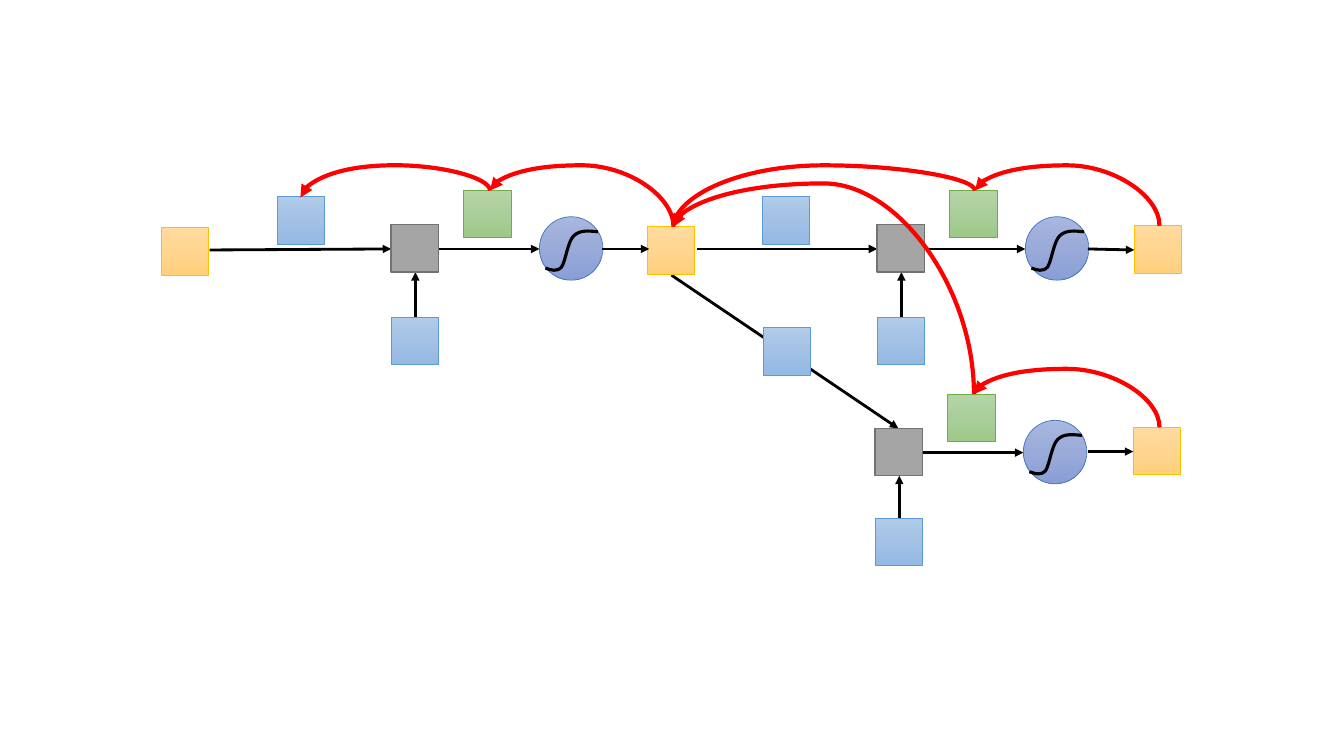
from copy import deepcopy
from dataclasses import dataclass

from lxml.etree import SubElement as Sub
from pptx import Presentation
from pptx.dml.color import RGBColor as RGB
from pptx.enum.shapes import MSO_CONNECTOR as Conn, MSO_SHAPE as Kind
from pptx.oxml.ns import qn
from pptx.util import Inches, Pt

CELL = Inches(0.1)
SIDE = 4.7
ROUND = 6.3
COLORS = {
    "gold": ("FFDB9E", "FFD590", "FFD07C", "FFC000"),
    "blue": ("B1CBE9", "A3C1E5", "93B9E4", "5B9BD5"),
    "green": ("B5D5A7", "AACE9A", "9CC987", "70AD47"),
    "navy": ("A8B7DF", "9AABD9", "889ED7", "4472C4"),
    "gray": ("A5A5A5", "767171"),
    "black": ("000000",),
    "red": ("FF0000",),
}
WAVE = [(5.8, 1.5), (4.9, 1.4), (4, 1.3), (3.4, 1.9), (2.8, 2.5),
        (2.6, 4.4), (2.2, 5), (1.7, 5.5), (1.2, 5.3), (0.6, 5.1)]


@dataclass
class Node:
    col: float
    row: float
    color: str
    size: float = SIDE
    kind: Kind = Kind.RECTANGLE


@dataclass
class Link:
    col: float
    row: float
    to_col: float
    to_row: float


@dataclass
class Arc(Link):
    peak: float


@dataclass
class Unit:
    col: float
    row: float
    drop: float


LINKS = [Link(20.8, 24.8, 38.8, 24.7), Link(69.1, 24.7, 87, 24.7),
         Link(66.6, 27.3, 89.1, 42.5), Link(59.7, 24.7, 64.4, 24.7),
         Link(107.9, 24.7, 112.5, 24.8), Link(107.9, 44.8, 112.4, 44.8)]
UNITS = [Unit(38.8, 22.3, 9.2), Unit(87, 22.3, 9.2), Unit(86.8, 42.5, 8.9)]
NODES = [Node(16, 22.6, "gold"), Node(64.2, 22.5, "gold"),
         Node(112.5, 22.4, "gold"), Node(112.4, 42.4, "gold"),
         Node(27.5, 19.5, "blue"), Node(75.6, 19.5, "blue"),
         Node(75.7, 32.5, "blue")]
ARCS = [Arc(115, 22.4, 96.7, 18.9, 16.4), Arc(96.7, 18.9, 66.8, 22.5, 16.4),
        Arc(66.8, 22.5, 48.6, 18.9, 16.4), Arc(48.6, 18.9, 29.8, 19.6, 16.4),
        Arc(115, 42.4, 96.6, 39.1, 36.6), Arc(96.6, 39.1, 66.8, 22.5, 18.2)]


def emu(cells: float) -> int:
    return round(cells * CELL)


def draw_node(shapes, node: Node) -> None:
    box = shapes.add_shape(node.kind, emu(node.col), emu(node.row),
                           emu(node.size), emu(node.size))
    box.shadow.inherit = False
    *tones, edge = COLORS[node.color]
    if len(tones) == 1:
        box.fill.solid()
        box.fill.fore_color.rgb = RGB.from_string(tones[0])
    else:
        box.fill.gradient()
        box.fill.gradient_angle = 270
        stops = box._element.find(".//" + qn("a:gsLst"))
        stops.insert(1, deepcopy(stops[0]))
        for i, (stop, tone) in enumerate(zip(box.fill.gradient_stops, tones)):
            stop.position = i / 2
            stop.color.rgb = RGB.from_string(tone)
    box.line.color.rgb = RGB.from_string(edge)
    box.line.width = Pt(1 if len(tones) == 1 else 0.5)


def draw_wave(shapes, col: float, row: float) -> None:
    spots = [(emu(col + x), emu(row + y)) for x, y in WAVE]
    build = shapes.build_freeform(*spots[0])
    build.add_line_segments(spots[1:], close=False)
    wave = build.convert_to_shape()
    wave.shadow.inherit = False
    wave.fill.background()
    wave.line.color.rgb = RGB.from_string(COLORS["black"][0])
    wave.line.width = Pt(2.25)
    track = wave._element.find(".//" + qn("a:path"))
    parts = track.findall(qn("a:lnTo"))
    for i in range(0, len(parts), 3):
        curve = Sub(track, qn("a:cubicBezTo"))
        for part in parts[i:i + 3]:
            curve.append(part[0])
            track.remove(part)


def style_line(line, color: str, width: float) -> None:
    line.line.color.rgb = RGB.from_string(COLORS[color][0])
    line.line.width = Pt(width)
    frame = line._element.spPr
    Sub(frame.find(qn("a:ln")), qn("a:tailEnd"), type="triangle")
    Sub(frame, qn("a:effectLst"))


def draw_link(shapes, link: Link) -> None:
    line = shapes.add_connector(Conn.STRAIGHT, emu(link.col), emu(link.row),
                                emu(link.to_col), emu(link.to_row))
    style_line(line, "black", 2)


def draw_arc(shapes, arc: Arc) -> None:
    rise = arc.row - arc.to_row
    wide, high = abs(rise), arc.col - arc.to_col
    left = (arc.col + arc.to_col - wide) / 2
    top = (arc.row + arc.to_row - high) / 2
    line = shapes.add_connector(Conn.CURVE, emu(left), emu(top),
                                emu(left + wide), emu(top + high))
    frame = line._element.spPr
    turn = frame.find(qn("a:xfrm"))
    turn.set("rot", str(270 * 60000))
    turn.set("flipV", "1")
    if rise < 0:
        turn.set("flipH", "1")
    shape = frame.find(qn("a:prstGeom"))
    marks = shape.find(qn("a:avLst"))
    if marks is None:
        marks = Sub(shape, qn("a:avLst"))
    bend = round((arc.row - arc.peak) / rise * 100000)
    Sub(marks, qn("a:gd"), name="adj1", fmla=f"val {bend}")
    style_line(line, "red", 3)


def draw_unit(shapes, unit: Unit) -> None:
    col, row = unit.col, unit.row
    mid, axis = col + 2.4, row + 2.4
    disc = Node(col + 14.7, row - 0.8, "navy", ROUND, Kind.OVAL)
    draw_link(shapes, Link(mid, row + unit.drop, mid, row + SIDE))
    draw_link(shapes, Link(col + SIDE, axis, disc.col, axis))
    for node in (disc, Node(col, row, "gray"),
                 Node(col, row + unit.drop, "blue"),
                 Node(col + 7.2, row - 3.4, "green")):
        draw_node(shapes, node)
    draw_wave(shapes, disc.col, disc.row)


def main() -> None:
    deck = Presentation()
    deck.slide_width, deck.slide_height = Inches(13.33), Inches(7.5)
    shapes = deck.slides.add_slide(deck.slide_layouts[6]).shapes
    for draw, items in ((draw_link, LINKS[:3]), (draw_unit, UNITS),
                        (draw_node, NODES), (draw_link, LINKS[3:]),
                        (draw_arc, ARCS)):
        for item in items:
            draw(shapes, item)
    deck.save("out.pptx")


if __name__ == "__main__":
    main()
